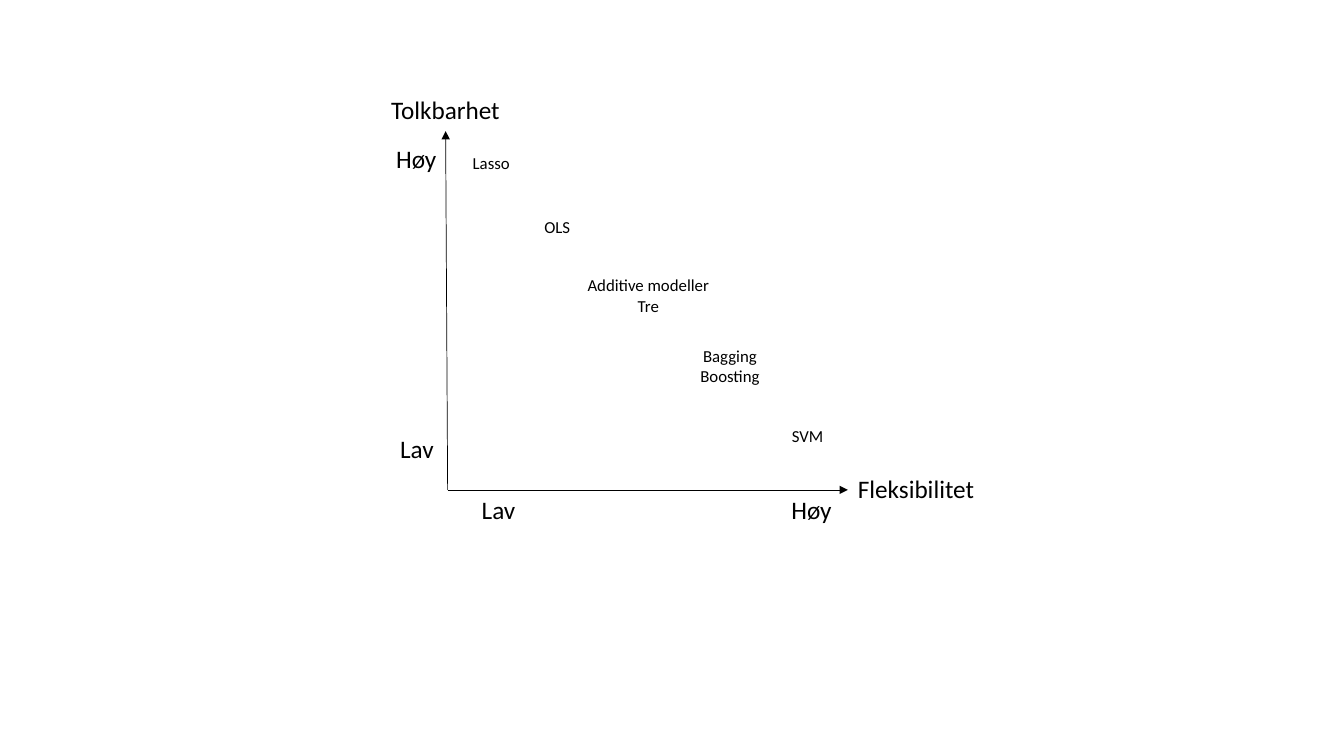
from dataclasses import dataclass

from lxml import etree
from pptx import Presentation
from pptx.dml import color
from pptx.enum import shapes, text
from pptx.oxml import ns
from pptx.util import Inches, Pt

FONT = "Calibri"
BLACK = "000000"
ORIGIN = (4.44, 4.86)
TIPS = [(4.42, 1.3), (8.41, 4.86)]


@dataclass
class Label:
    lines: list[str]
    left: float
    top: float
    width: float
    height: float
    size: int
    align: text.PP_ALIGN = text.PP_ALIGN.LEFT


def axis(left: float, top: float, width: float, words: str) -> Label:
    return Label([words], left, top, width, 0.4, 18)


def model(left: float, top: float, width: float, *lines: str) -> Label:
    height = 0.1 + 0.2 * len(lines)
    return Label(list(lines), left, top, width, height, 12, text.PP_ALIGN.CENTER)


LABELS = [
    axis(3.78, 0.89, 1.29, "Tolkbarhet"),
    axis(8.41, 4.65, 1.37, "Fleksibilitet"),
    axis(3.83, 1.37, 0.61, "Høy"),
    axis(3.87, 4.25, 0.54, "Lav"),
    axis(4.68, 4.86, 0.54, "Lav"),
    axis(7.75, 4.85, 0.61, "Høy"),
    Label(["Lasso"], 4.59, 1.47, 0.58, 0.3, 12),
    Label(["OLS"], 5.3, 2.1, 0.46, 0.3, 12),
    model(5.72, 2.68, 1.42, "Additive modeller", "Tre"),
    model(6.84, 3.38, 0.8, "Bagging", "Boosting"),
    model(7.75, 4.17, 0.52, "SVM"),
]


def rgb(code: str) -> color.RGBColor:
    return color.RGBColor.from_string(code)


def draw_arrow(slide, start: tuple[float, float], tip: tuple[float, float]) -> None:
    ends = [Inches(v) for v in (*start, *tip)]
    arrow = slide.shapes.add_connector(shapes.MSO_CONNECTOR.STRAIGHT, *ends)
    arrow.line.color.rgb = rgb(BLACK)
    arrow.line.width = Pt(0.5)
    props = arrow._element.spPr
    line = props.find(ns.qn("a:ln"))
    etree.SubElement(line, ns.qn("a:tailEnd"), type="triangle")
    etree.SubElement(props, ns.qn("a:effectLst"))


def draw_label(slide, label: Label) -> None:
    place = (label.left, label.top, label.width, label.height)
    frame = slide.shapes.add_textbox(*[Inches(v) for v in place]).text_frame
    frame.word_wrap = False
    frame.auto_size = text.MSO_AUTO_SIZE.SHAPE_TO_FIT_TEXT
    for row, words in enumerate(label.lines):
        para = frame.add_paragraph() if row else frame.paragraphs[0]
        para.alignment = label.align
        run = para.add_run()
        run.text = words
        run.font.name = FONT
        run.font.size = Pt(label.size)
        run.font.color.rgb = rgb(BLACK)


def main() -> None:
    deck = Presentation()
    deck.slide_width = Inches(13.33)
    deck.slide_height = Inches(7.5)
    blank = deck.slide_layouts[6]
    slide = deck.slides.add_slide(blank)
    for tip in TIPS:
        draw_arrow(slide, ORIGIN, tip)
    for label in LABELS:
        draw_label(slide, label)
    deck.save("out.pptx")


if __name__ == "__main__":
    main()
